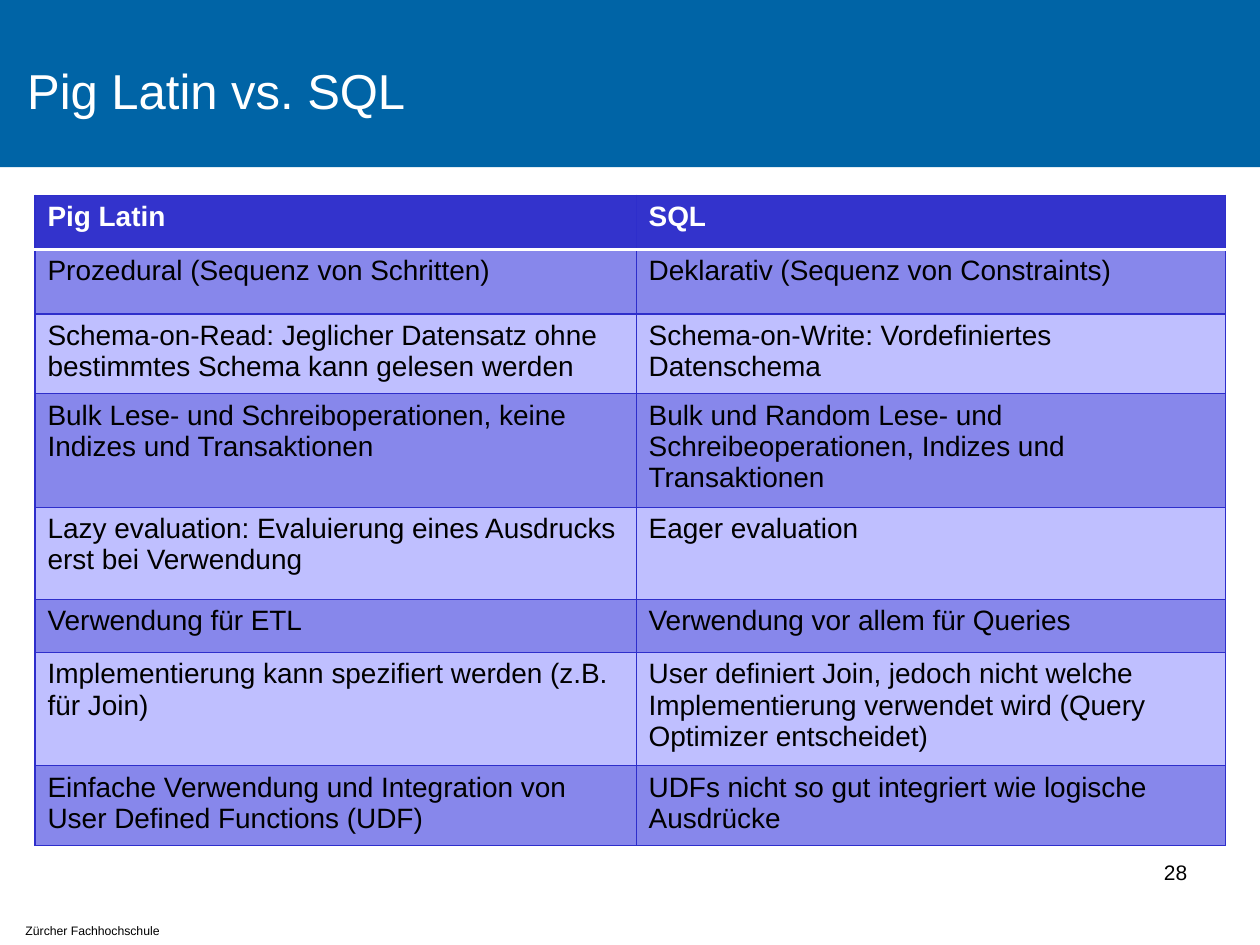
from dataclasses import dataclass
from lxml.etree import SubElement
from pptx import Presentation
from pptx.dml.color import RGBColor
from pptx.enum.shapes import MSO_SHAPE
from pptx.enum.text import MSO_ANCHOR
from pptx.oxml.ns import qn
from pptx.util import Pt

TITLE = "Pig Latin vs. SQL"
FOOTER = "Zürcher Fachhochschule"
PAGE = "28"
COMPARISON = [
    (31, "Pig Latin", "SQL"),
    (37, "Prozedural (Sequenz von Schritten)", "Deklarativ (Sequenz von Constraints)"),
    (43, "Schema-on-Read: Jeglicher Datensatz ohne bestimmtes Schema kann gelesen werden",
     "Schema-on-Write: Vordefiniertes Datenschema"),
    (60.5, "Bulk Lese- und Schreiboperationen, keine Indizes und Transaktionen",
     "Bulk und Random Lese- und Schreibeoperationen, Indizes und Transaktionen"),
    (52.5, "Lazy evaluation: Evaluierung eines Ausdrucks erst bei Verwendung", "Eager evaluation"),
    (30.5, "Verwendung für ETL", "Verwendung vor allem für Queries"),
    (60.5, "Implementierung kann spezifiert werden (z.B. für Join)",
     "User definiert Join, jedoch nicht welche Implementierung verwendet wird "
     "(Query Optimizer entscheidet)"),
    (43, "Einfache Verwendung und Integration von User Defined Functions (UDF)",
     "UDFs nicht so gut integriert wie logische Ausdrücke"),
]
COLUMNS = (343.5, 337)


@dataclass(frozen=True)
class Theme:
    font: str = "Arial"
    banner: str = "0064A6"
    header: str = "3333CC"
    bands: tuple = ("8787EB", "BFBFFF")
    border: str = "2E2ECB"
    light: str = "FFFFFF"
    dark: str = "000000"
    title_size: float = 28
    cell_size: float = 16
    page_size: float = 12
    footer_size: float = 7


theme = Theme()


def rgb(value):
    return RGBColor.from_string(value)


def write(frame, text, size, color, bold=False):
    paragraph = frame.paragraphs[0]
    paragraph.text = text
    font = paragraph.font
    font.name, font.size, font.bold = theme.font, Pt(size), bold
    font.color.rgb = rgb(color)


def add_label(slide, box, text, size, color, anchor=MSO_ANCHOR.TOP):
    frame = slide.shapes.add_textbox(*map(Pt, box)).text_frame
    frame.word_wrap = True
    frame.vertical_anchor = anchor
    write(frame, text, size, color)


def add_border(cell, side, color, width):
    line = SubElement(cell._tc.get_or_add_tcPr(), qn(f"a:ln{side}"), w=str(Pt(width)))
    fill = SubElement(line, qn("a:solidFill"))
    SubElement(fill, qn("a:srgbClr"), val=color)


def style_cell(cell, row, text):
    is_header = row == 0
    edges = {side: (theme.border, 0.75) for side in "LRTB"}
    if row < 2:
        edges["B" if is_header else "T"] = (theme.light, 2)
    for side, (color, width) in edges.items():
        add_border(cell, side, color, width)
    cell.fill.solid()
    cell.fill.fore_color.rgb = rgb(theme.header if is_header else theme.bands[(row - 1) % 2])
    write(cell.text_frame, text, theme.cell_size, theme.light if is_header else theme.dark, is_header)


def add_comparison(slide):
    height = sum(row[0] for row in COMPARISON)
    table = slide.shapes.add_table(len(COMPARISON), len(COLUMNS), Pt(20), Pt(111.5),
                                   Pt(sum(COLUMNS)), Pt(height)).table
    for column, width in zip(table.columns, COLUMNS):
        column.width = Pt(width)
    for index, (row_height, *texts) in enumerate(COMPARISON):
        table.rows[index].height = Pt(row_height)
        for column, text in enumerate(texts):
            style_cell(table.cell(index, column), index, text)


deck = Presentation()
deck.slide_width, deck.slide_height = Pt(720), Pt(540)
slide = deck.slides.add_slide(deck.slide_layouts[6])

banner = slide.shapes.add_shape(MSO_SHAPE.RECTANGLE, 0, 0, deck.slide_width, Pt(95.5))
banner.shadow.inherit = False
banner.fill.solid()
banner.fill.fore_color.rgb = rgb(theme.banner)
banner.line.fill.background()

add_label(slide, (8.5, 14.5, 546, 74), TITLE, theme.title_size, theme.light, MSO_ANCHOR.MIDDLE)
add_label(slide, (7.5, 524, 124, 16), FOOTER, theme.footer_size, theme.dark)
add_label(slide, (658, 487.5, 51, 41), PAGE, theme.page_size, theme.dark)
add_comparison(slide)

deck.save("out.pptx")
